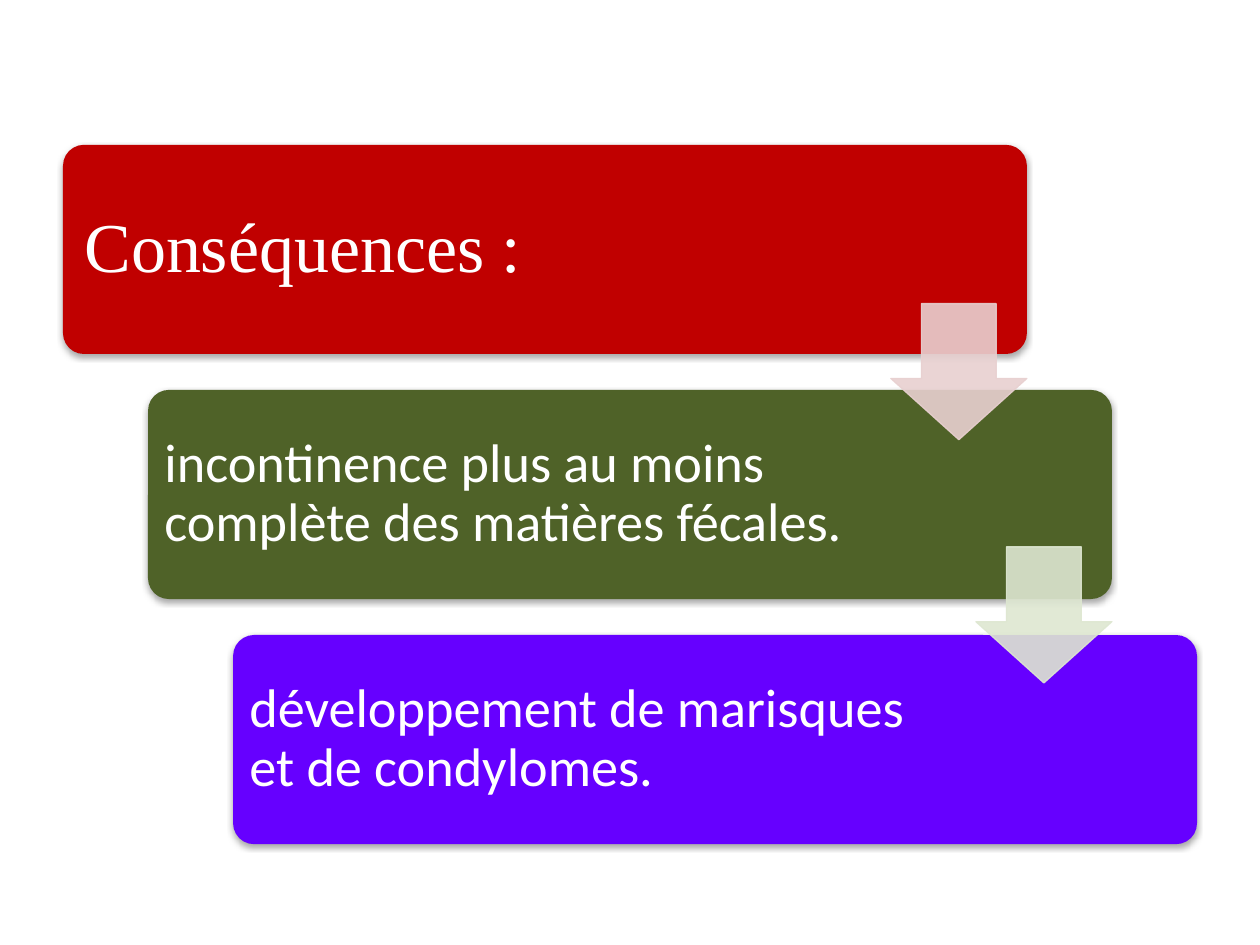
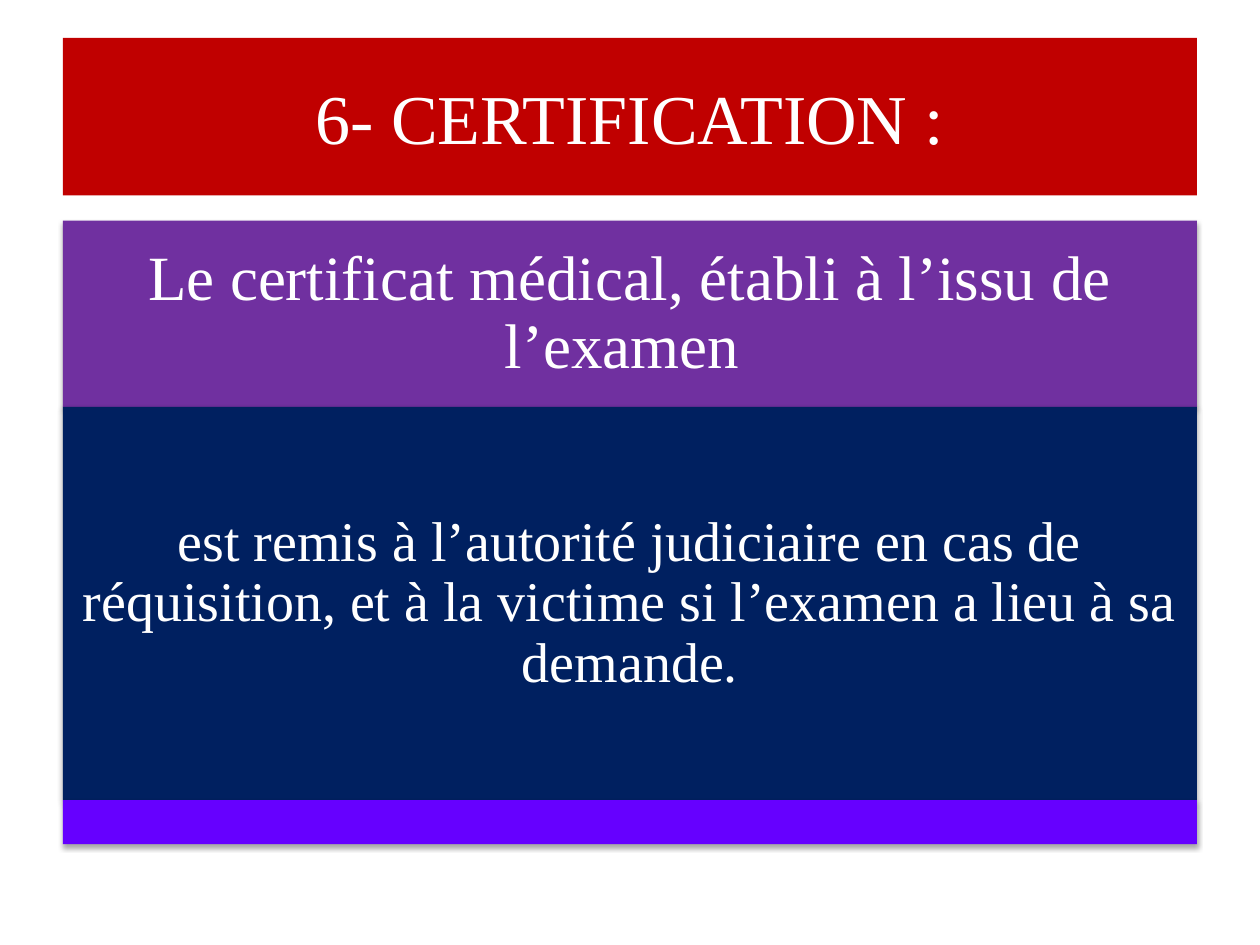
"""Build two slides: a staircase of consequences and the certification bands."""
from lxml import etree
from pptx import Presentation
from pptx.dml.color import RGBColor
from pptx.enum.shapes import MSO_SHAPE as Shape
from pptx.enum.text import MSO_ANCHOR as Anchor, PP_ALIGN as Align
from pptx.oxml import parse_xml
from pptx.oxml.ns import nsdecls, qn
from pptx.util import Inches, Pt

RED = RGBColor(0xC0, 0x00, 0x00)
OLIVE = RGBColor(0x4F, 0x62, 0x28)
VIOLET = RGBColor(0x66, 0x00, 0xFF)
PURPLE = RGBColor(0x70, 0x30, 0xA0)
NAVY = RGBColor(0x00, 0x20, 0x60)
PALE_RED = RGBColor(0xE8, 0xD0, 0xD0)
PALE_GREEN = RGBColor(0xDE, 0xE7, 0xD1)
WHITE = RGBColor(0xFF, 0xFF, 0xFF)
SERIF, SANS = "Times New Roman", "Calibri"
MARGIN, FULL_WIDTH = 0.5, 9
SHADOW = (
    f'<a:outerShdw {nsdecls("a")} blurRad="40000" dist="23000" dir="5400000" rotWithShape="0">'
    '<a:srgbClr val="000000"><a:alpha val="35000"/></a:srgbClr></a:outerShdw>'
)


def add_panel(page, kind, left, top, width, height, color, shadow=True):
    """Add a filled shape without outline, with a soft shadow if wanted."""
    panel = page.shapes.add_shape(kind, Inches(left), Inches(top), Inches(width), Inches(height))
    panel.fill.solid()
    panel.fill.fore_color.rgb = color
    panel.line.fill.background()
    panel.shadow.inherit = False
    if shadow:
        panel._element.spPr.find(qn("a:effectLst")).append(parse_xml(SHADOW))
    return panel


def add_words(page, left, top, width, height, words, size, font, inset, align, spacing=0.9):
    """Add a white, vertically centred text box."""
    box = page.shapes.add_textbox(Inches(left), Inches(top), Inches(width), Inches(height))
    frame = box.text_frame
    frame.word_wrap = True
    frame.vertical_anchor = Anchor.MIDDLE
    frame.margin_left = frame.margin_right = Inches(inset)
    frame.margin_top = frame.margin_bottom = Inches(inset)
    para = frame.paragraphs[0]
    para.alignment = align
    para.line_spacing = spacing
    span = para.add_run()
    span.text = words
    span.font.size = Pt(size)
    span.font.name = font
    span.font.color.rgb = WHITE


deck = Presentation()
deck.slide_width, deck.slide_height = Inches(10), Inches(7.5)
blank = deck.slide_layouts[6]

page = deck.slides.add_slide(blank)
STEP_WIDTH, STEP_HEIGHT, ARROW_SIZE = 7.65, 1.66, 1.08
SHIFT = (FULL_WIDTH - STEP_WIDTH) / 2
DROP = (6.7 - 1.15 - STEP_HEIGHT) / 2
steps = [
    ("Conséquences :", RED, 40, SERIF, 0.17, 5.95),
    ("incontinence plus au moins complète des matières fécales.", OLIVE, 31, SANS, 0.13, 5.89),
    ("développement de marisques et de condylomes.", VIOLET, 31, SANS, 0.13, 5.89),
]
for index, (words, color, size, font, inset, text_width) in enumerate(steps):
    left, top = MARGIN + index * SHIFT, 1.15 + index * DROP
    panel = add_panel(page, Shape.ROUNDED_RECTANGLE, left, top, STEP_WIDTH, STEP_HEIGHT, color)
    panel.adjustments[0] = 0.1
    add_words(page, left, top, text_width, STEP_HEIGHT, words, size, font, inset, Align.LEFT)

for index, color in enumerate([PALE_RED, PALE_GREEN]):
    left = MARGIN + index * SHIFT + STEP_WIDTH - ARROW_SIZE
    arrow = add_panel(page, Shape.DOWN_ARROW, left, 2.41 + index * 1.93,
                      ARROW_SIZE, ARROW_SIZE, color, shadow=False)
    arrow.adjustments[0], arrow.adjustments[1] = 0.55, 0.45
    arrow.line.color.rgb = color
    arrow.line.width = Pt(0.75)
    for tint in arrow._element.spPr.iter(qn("a:srgbClr")):
        etree.SubElement(tint, qn("a:alpha")).set("val", "90000")

page = deck.slides.add_slide(blank)
title_area = (MARGIN, 0.3, FULL_WIDTH, 1.25)
add_panel(page, Shape.RECTANGLE, *title_area, RED, shadow=False)
add_words(page, *title_area, "6- CERTIFICATION :", 40, SERIF, 0.1, Align.CENTER, spacing=1.0)

bands = [
    (1.48, PURPLE, "Le certificat médical, établi à l’issu de l’examen ", 36, 0.15),
    (3.12, NAVY, "est remis à l’autorité judiciaire en cas de réquisition, "
                 "et à la victime si l’examen a lieu à sa demande.", 32, 0.13),
    (0.35, VIOLET, "", 0, 0),
]
top = 1.75
for height, color, words, size, inset in bands:
    band_area = (MARGIN, top, FULL_WIDTH, height)
    add_panel(page, Shape.RECTANGLE, *band_area, color)
    if words:
        add_words(page, *band_area, words, size, SERIF, inset, Align.CENTER)
    top += height

deck.save("out.pptx")
